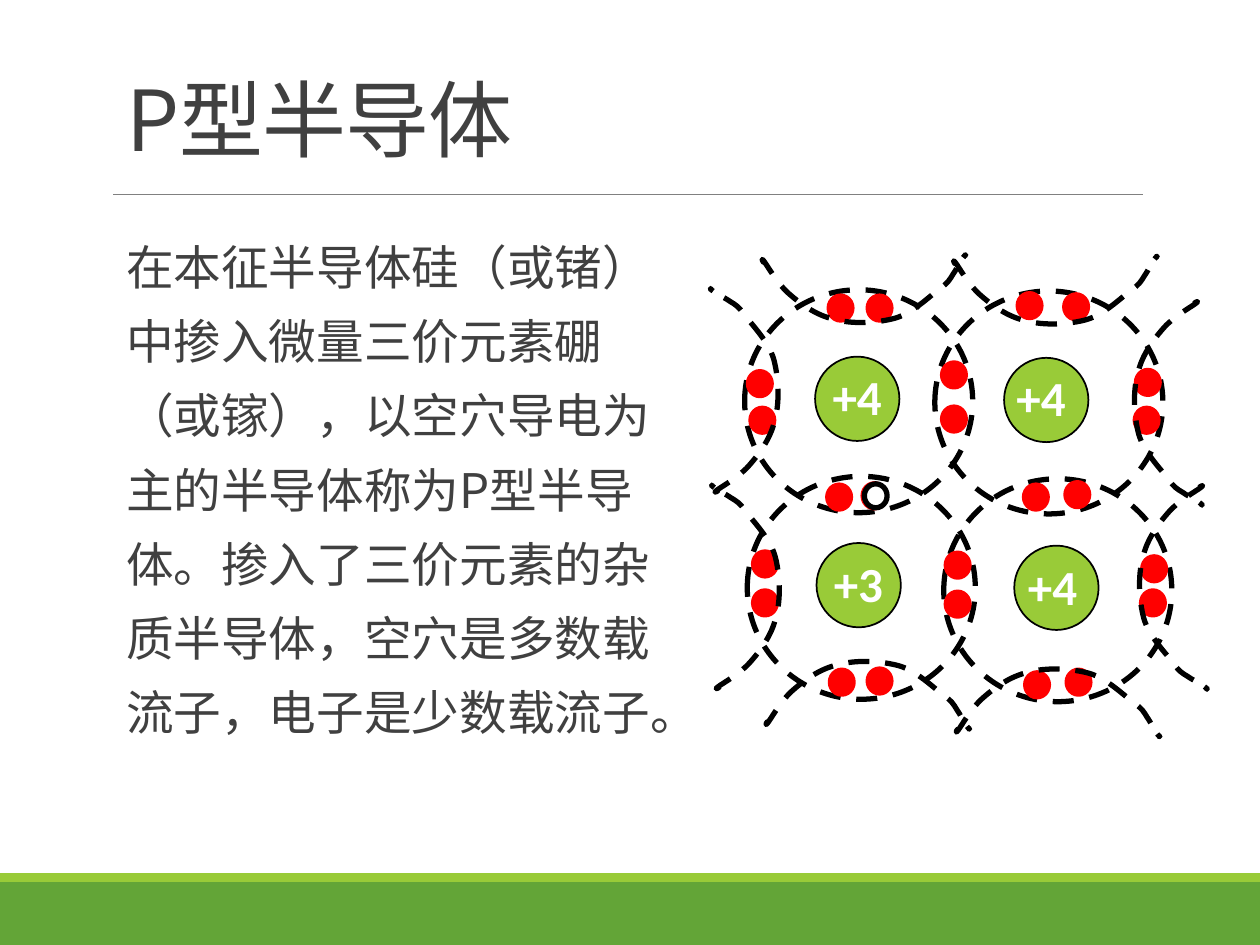
from lxml import etree
from pptx import Presentation
from pptx.dml.color import RGBColor
from pptx.enum.dml import MSO_LINE
from pptx.enum.shapes import MSO_CONNECTOR, MSO_SHAPE
from pptx.enum.text import MSO_ANCHOR, MSO_AUTO_SIZE, PP_ALIGN
from pptx.oxml.ns import qn
from pptx.util import Pt

RECT, OVAL, LINE = MSO_SHAPE.RECTANGLE, MSO_SHAPE.OVAL, MSO_CONNECTOR.STRAIGHT
DASH, LEFT, FIXED = MSO_LINE.DASH, PP_ALIGN.LEFT, MSO_AUTO_SIZE.NONE
TOP, BOTTOM = MSO_ANCHOR.TOP, MSO_ANCHOR.BOTTOM

GREEN = RGBColor(0x63, 0xA5, 0x37)
LIME = RGBColor(0x99, 0xCB, 0x38)
GRAY = RGBColor(0x80, 0x80, 0x80)
DARK = RGBColor(0x40, 0x40, 0x40)
RED = RGBColor(0xFF, 0, 0)
BLACK = RGBColor(0, 0, 0)
WHITE = RGBColor(0xFF, 0xFF, 0xFF)
HAN = "Noto Sans CJK SC"

TITLE = "P型半导体"
BODY = ("在本征半导体硅（或锗）中掺入微量三价元素硼（或镓），"
        "以空穴导电为主的半导体称为P型半导体。掺入了三价元素的杂质半导体，"
        "空穴是多数载流子，电子是少数载流子。")

# Atoms: core corner, ring corner, label corner, charge
ATOMS = [
    ((465.8, 203.8), (425.5, 165.6), (468.7, 205.9), "+4"),
    ((573.8, 204.5), (534.2, 166.3), (573.8, 206.6), "+4"),
    ((466.6, 310.3), (427, 272.2), (469.4, 312.5), "+3"),
    ((579.6, 311.8), (539.3, 273.6), (580.3, 314.6), "+4"),
]
# Electrons: corners, two to a bond
DOTS = [
    (473.8, 169.2), (496.1, 169.2), (581.8, 167.8), (608.4, 168.5),
    (427.7, 212.4), (429.1, 233.3), (538.6, 207.4), (538.6, 232.6),
    (649.4, 211.7), (648.7, 233.3), (473, 277.2), (493.2, 276.5),
    (585.4, 277.2), (609.1, 275.8), (430.6, 315.4), (430.6, 337.7),
    (540.7, 316.1), (540.7, 338.4), (653, 318.2), (652.3, 337.7),
    (474.5, 383), (496.1, 382.3), (586.1, 384.5), (609.8, 383),
]
HOLE = (493.9, 276.5)
DOT = (13, 13.7)

# Outer arc: start, then three points to each curve, about its centre
ARC = [
    (15.1, -56.5),
    (15.1, -57.2), (18.7, -58.7), (15.8, -56.5),
    (13, -54.4), (3.6, -49.3), (-2.2, -42.8),
    (-7.9, -36.4), (-15.1, -27), (-17.3, -16.2),
    (-20.2, -6.1), (-19.4, 8.3), (-16.6, 18.4),
    (-13.7, 28.4), (-4.3, 37.8), (0, 43.6),
    (3.6, 48.6), (5, 49.3), (8.6, 51.5),
    (11.5, 53.6), (16.6, 55.8), (18, 57.2),
    (20.2, 58), (19.4, 58.7), (19.4, 58.7),
    (19.4, 58.7), (18.7, 57.2), (18, 57.2),
]
# Turn of the arc on each side, with the centres found there
SIDES = [
    (lambda x, y: (x, y), [(667.4, 230), (670.3, 335.2)]),
    (lambda x, y: (y, -x), [(493.2, 165.2), (602.6, 166)]),
    (lambda x, y: (y, x), [(495.4, 397.1), (604.1, 401.4)]),
    (lambda x, y: (-x, -y), [(425.5, 223.6), (426.2, 335.9)]),
]


def put(item, form):
    for key, val in form.items():
        setattr(item, key, val)


def paint(shape, fill=None, ink=None, width=1, dash=None):
    shape.shadow.inherit = False
    if fill is None:
        shape.fill.background()
    else:
        shape.fill.solid()
        shape.fill.fore_color.rgb = fill
    if ink is None:
        shape.line.fill.background()
    else:
        shape.line.color.rgb = ink
        put(shape.line, {"width": Pt(width), "dash_style": dash})


def draw(slide, kind, spot, size, **look):
    box = [Pt(v) for v in (*spot, *size)]
    paint(slide.shapes.add_shape(kind, *box), **look)


def rule(slide, start, end):
    line = slide.shapes.add_connector(LINE, *[Pt(v) for v in (*start, *end)])
    line.line.color.rgb = GRAY
    line.line.width = Pt(0.5)
    etree.SubElement(line._element.spPr, qn("a:effectLst"))


def write(shape, text, frame, para, font, ink):
    put(shape.text_frame, frame)
    line = shape.text_frame.paragraphs[0]
    put(line, {"alignment": LEFT, "space_before": Pt(0), **para})
    run = line.add_run()
    run.text = text
    put(run.font, font)
    run.font.color.rgb = ink
    east = etree.SubElement(run.font._element, qn("a:ea"))
    east.set("typeface", font["name"])
    return run


def hold(shape, left, top, width, height):
    put(shape, {"left": Pt(left), "top": Pt(top),
                "width": Pt(width), "height": Pt(height)})


def label(slide, spot, text):
    box = slide.shapes.add_textbox(Pt(spot[0]), Pt(spot[1]), Pt(55.4), Pt(41))
    write(box, text, {"word_wrap": True}, {},
          {"name": "Calibri", "size": Pt(28), "bold": True}, WHITE)


def arc(slide, turn, mid):
    spots = []
    for x, y in ARC:
        dx, dy = turn(x, y)
        spots.append((Pt(mid[0] + dx), Pt(mid[1] + dy)))
    pen = slide.shapes.build_freeform(*spots[0])
    pen.add_line_segments(spots[1:], close=False)
    shape = pen.convert_to_shape()
    # Join each three points into one curve
    legs = shape._element.xpath(".//a:lnTo")
    trail = legs[0].getparent()
    for i in range(0, len(legs), 3):
        curve = etree.SubElement(trail, qn("a:cubicBezTo"))
        for leg in legs[i:i + 3]:
            curve.append(leg[0])
            trail.remove(leg)
    paint(shape, ink=BLACK, width=3, dash=DASH)


def words(slide):
    head, body = slide.shapes.title, slide.placeholders[1]
    hold(head, 64.8, 22.3, 594, 77.8)
    run = write(head, TITLE, {"vertical_anchor": BOTTOM, "auto_size": FIXED},
                {"line_spacing": 0.85}, {"name": HAN, "size": Pt(48)}, DARK)
    run.font._element.set("spc", "-50")

    hold(body, 64.8, 122.4, 312.5, 303.8)
    props = body.text_frame.paragraphs[0]._p.get_or_add_pPr()
    props.set("marL", str(Pt(7.2)))
    props.set("indent", "0")
    etree.SubElement(props, qn("a:buNone"))
    write(body, BODY,
          {"vertical_anchor": TOP, "auto_size": FIXED, "word_wrap": True,
           "margin_left": 0, "margin_right": 0},
          {"line_spacing": 1.3, "space_after": Pt(2)},
          {"name": HAN, "size": Pt(27.2)}, DARK)


def lattice(slide):
    for core, ring, _, _ in ATOMS:
        draw(slide, OVAL, core, (48.2, 48.2), fill=LIME, ink=BLACK)
        draw(slide, OVAL, ring, (130.3, 127.4), ink=BLACK, width=3, dash=DASH)
    for spot in DOTS:
        draw(slide, OVAL, spot, DOT, fill=RED, ink=RED, width=3)
    for turn, mids in SIDES:
        for mid in mids:
            arc(slide, turn, mid)
    for _, _, spot, text in ATOMS:
        label(slide, spot, text)
    draw(slide, OVAL, HOLE, DOT, fill=WHITE, ink=BLACK, width=3)


def main():
    deck = Presentation()
    put(deck, {"slide_width": Pt(720), "slide_height": Pt(540)})
    slide = deck.slides.add_slide(deck.slide_layouts[1])
    # Footer bands and title rule
    draw(slide, RECT, (0, 504), (720, 36), fill=GREEN)
    draw(slide, RECT, (0, 499), (720, 5), fill=LIME)
    rule(slide, (64.8, 111.4), (653, 111.4))
    # Title, text and crystal
    words(slide)
    lattice(slide)
    deck.save("out.pptx")


if __name__ == "__main__":
    main()
